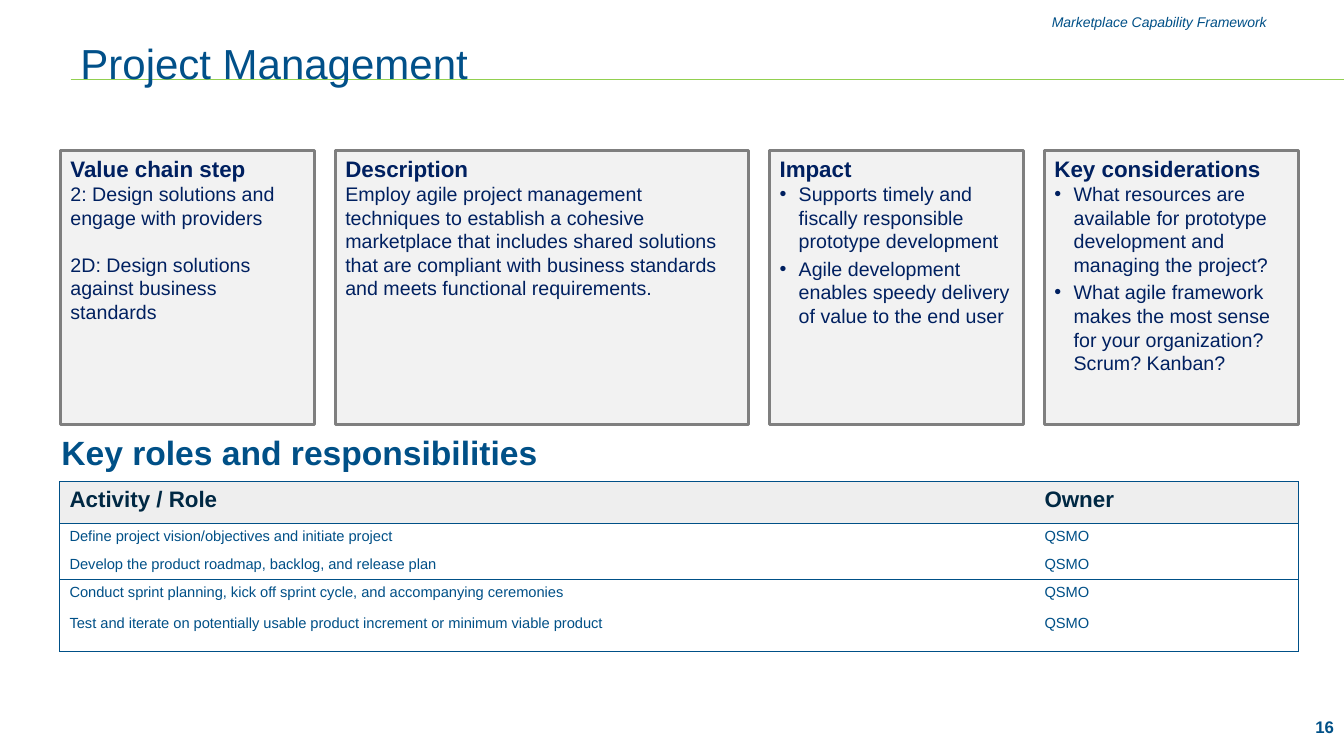
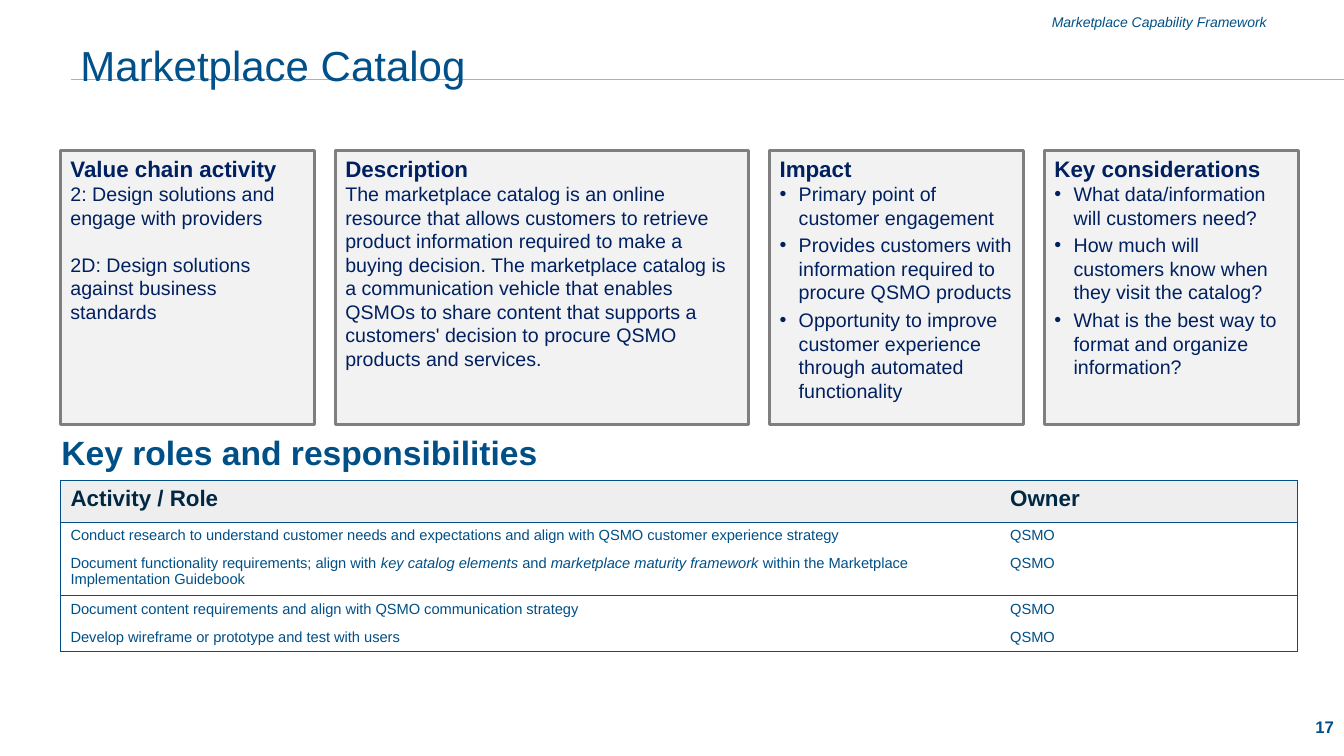
from lxml import etree
from pptx import Presentation
from pptx.dml.color import RGBColor
from pptx.enum.shapes import MSO_CONNECTOR, MSO_SHAPE
from pptx.enum.text import MSO_ANCHOR, PP_ALIGN
from pptx.oxml.ns import qn
from pptx.util import Inches, Pt

LINE = MSO_CONNECTOR.STRAIGHT
RECT = MSO_SHAPE.RECTANGLE
TOP, MID, LOW = MSO_ANCHOR.TOP, MSO_ANCHOR.MIDDLE, MSO_ANCHOR.BOTTOM
LEFT, RIGHT = PP_ALIGN.LEFT, PP_ALIGN.RIGHT

FONT = "Arial"
BLUE, TITLE, NAVY, DARK = "005087", "015089", "002060", "002843"
GREEN, GRAY, PALE, HEAD = "92D050", "7F7F7F", "F2F2F2", "EEEEEE"
WIDE, HIGH = 13.33, 7.5
CARDS = (0.6, 1.49, 12.28, 2.72)
WIDTHS = (2.52, 4.1, 2.52, 2.52)

STEPS = ["2: Design solutions and engage with providers",
         "2D: Design solutions against business standards"]

PAGES = [
    {
        "title": "Project Management",
        "top": 0.15,
        "page": 16,
        "cards": [
            ("Value chain step", STEPS, False),
            ("Description", [
                "Employ agile project management techniques to establish a "
                "cohesive marketplace that includes shared solutions that are "
                "compliant with business standards and meets functional "
                "requirements."], False),
            ("Impact", [
                "Supports timely and fiscally responsible prototype development",
                "Agile development enables speedy delivery of value to the end "
                "user"], True),
            ("Key considerations", [
                "What resources are available for prototype development and "
                "managing the project?",
                "What agile framework makes the most sense for your "
                "organization? Scrum? Kanban?"], True),
        ],
        "spot": (0.59, 4.78),
        "cols": (9.67, 2.62),
        "rows": (0.41, 0.28, 0.28, 0.3, 0.41),
        "roles": [
            ["Define project vision/objectives and initiate project"],
            ["Develop the product roadmap, backlog, and release plan"],
            ["Conduct sprint planning, kick off sprint cycle, and accompanying "
             "ceremonies"],
            ["Test and iterate on potentially usable product increment or "
             "minimum viable product"],
        ],
    },
    {
        "title": "Marketplace Catalog",
        "top": 0.17,
        "page": 17,
        "cards": [
            ("Value chain activity", STEPS, False),
            ("Description", [
                "The marketplace catalog is an online resource that allows "
                "customers to retrieve product information required to make a "
                "buying decision. The marketplace catalog is a communication "
                "vehicle that enables QSMOs to share content that supports a "
                "customers' decision to procure QSMO products and services."],
             False),
            ("Impact", [
                "Primary point of customer engagement",
                "Provides customers with information required to procure QSMO "
                "products",
                "Opportunity to improve customer experience through automated "
                "functionality"], True),
            ("Key considerations", [
                "What data/information will customers need?",
                "How much will customers know when they visit the catalog?",
                "What is the best way to format and organize information?"],
             True),
        ],
        "spot": (0.6, 4.77),
        "cols": (9.32, 2.95),
        "rows": (0.41, 0.28, 0.41, 0.28, 0.23),
        "roles": [
            ["Conduct research to understand customer needs and expectations "
             "and align with QSMO customer experience strategy"],
            ["Document functionality requirements; align with ",
             "key catalog elements ", "and ",
             "marketplace maturity framework ",
             "within the Marketplace Implementation Guidebook"],
            ["Document content requirements and align with QSMO communication "
             "strategy"],
            ["Develop wireframe or prototype and test with users"],
        ],
    },
]


def rgb(code):
    return RGBColor.from_string(code)


def add_run(para, text, size, color, bold=False, slant=False):
    run = para.add_run()
    run.text = text
    font = run.font
    font.name, font.size, font.bold, font.italic = FONT, Pt(size), bold, slant
    font.color.rgb = rgb(color)


def set_frame(frame, anchor=TOP, pad=0.05):
    frame.word_wrap = True
    frame.vertical_anchor = anchor
    frame.margin_left = frame.margin_right = Inches(0.1)
    frame.margin_top = frame.margin_bottom = Inches(pad)


def add_label(slide, box, text, size, color, align=LEFT, anchor=TOP,
              bold=False, slant=False, pad=0.05):
    frame = slide.shapes.add_textbox(*map(Inches, box)).text_frame
    set_frame(frame, anchor, pad)
    para = frame.paragraphs[0]
    para.alignment = align
    add_run(para, text, size, color, bold, slant)


def add_bullet(para):
    props = para._p.get_or_add_pPr()
    props.set("marL", str(Inches(0.19)))
    props.set("indent", str(-Inches(0.19)))
    tint = etree.SubElement(props, qn("a:buClr"))
    etree.SubElement(tint, qn("a:srgbClr")).set("val", NAVY)
    etree.SubElement(props, qn("a:buFont")).set("typeface", FONT)
    etree.SubElement(props, qn("a:buChar")).set("char", "•")


def add_frame(slide, title, top, page):
    rule = slide.shapes.add_connector(
        LINE, Inches(0.7), Inches(0.79), Inches(WIDE), Inches(0.79))
    rule.line.color.rgb = rgb(GREEN)
    rule.line.width = Pt(0.75)
    etree.SubElement(rule._element.spPr, qn("a:effectLst"))
    add_label(slide, (8.83, 0.08, 3.83, 0.28), "Marketplace Capability Framework",
              10, BLUE, RIGHT, MID, slant=True)
    add_label(slide, (0.7, top, 11.96, 0.94), title, 30, TITLE, anchor=MID)
    add_label(slide, (12.53, 6.84, 0.8, 0.57), str(page), 12, BLUE, RIGHT, LOW,
              bold=True, pad=0.1)


def add_card(slide, box, title, lines, dots):
    card = slide.shapes.add_shape(RECT, *map(Inches, box))
    card.shadow.inherit = False
    card.fill.solid()
    card.fill.fore_color.rgb = rgb(PALE)
    card.line.color.rgb = rgb(GRAY)
    card.line.width = Pt(2)
    frame = card.text_frame
    set_frame(frame)
    para = frame.paragraphs[0]
    para.alignment = LEFT
    add_run(para, title, 16, NAVY, bold=True)
    for i, text in enumerate(lines):
        para = frame.add_paragraph()
        para.alignment = LEFT
        if i:
            para.space_before = Pt(3 if dots else 16.8)
        if dots:
            add_bullet(para)
        add_run(para, text, 14, NAVY)


def add_cards(slide, box, cards):
    left, top, width, height = box
    gap = (width - sum(WIDTHS)) / (len(WIDTHS) - 1)
    for wide, card in zip(WIDTHS, cards):
        add_card(slide, (left, top, wide, height), *card)
        left += wide + gap


def set_edges(cell, shown):
    props = cell._tc.get_or_add_tcPr()
    for i, side in enumerate("LRTB"):
        edge = etree.Element(qn("a:ln" + side), w=str(Pt(0.75)))
        if side in shown:
            fill = etree.SubElement(edge, qn("a:solidFill"))
            etree.SubElement(fill, qn("a:srgbClr")).set("val", BLUE)
        else:
            etree.SubElement(edge, qn("a:noFill"))
        props.insert(i, edge)


def fill_cell(cell, parts, head):
    cell.margin_left = cell.margin_right = Inches(0.1)
    cell.margin_top = cell.margin_bottom = Inches(0.05)
    cell.vertical_anchor = TOP
    if head:
        cell.fill.solid()
        cell.fill.fore_color.rgb = rgb(HEAD)
    else:
        cell.fill.background()
    size, color = (16, DARK) if head else (10.5, BLUE)
    para = cell.text_frame.paragraphs[0]
    for i, text in enumerate(parts):
        add_run(para, text, size, color, bold=head, slant=i % 2 == 1)


def add_roles(slide, spot, cols, rows, roles):
    box = (*spot, sum(cols), sum(rows))
    table = slide.shapes.add_table(
        len(rows), len(cols), *map(Inches, box)).table
    table.horz_banding = False
    for col, width in zip(table.columns, cols):
        col.width = Inches(width)
    for row, height in zip(table.rows, rows):
        row.height = Inches(height)
    data = [(["Activity / Role"], ["Owner"])]
    data += [(parts, ["QSMO"]) for parts in roles]
    for r, pair in enumerate(data):
        edges = ("T" if r in (0, 1, 3) else "") + ("B" if r in (0, 2, 4) else "")
        for c, parts in enumerate(pair):
            cell = table.cell(r, c)
            fill_cell(cell, parts, r == 0)
            set_edges(cell, edges + "LR"[c])


def add_page(deck, page):
    slide = deck.slides.add_slide(deck.slide_layouts[6])
    add_frame(slide, page["title"], page["top"], page["page"])
    add_cards(slide, CARDS, page["cards"])
    add_label(slide, (0.51, 4.24, 4.94, 0.5), "Key roles and responsibilities",
              24, BLUE, bold=True)
    add_roles(slide, page["spot"], page["cols"], page["rows"], page["roles"])


def main():
    deck = Presentation()
    deck.slide_width, deck.slide_height = Inches(WIDE), Inches(HIGH)
    for page in PAGES:
        add_page(deck, page)
    deck.save("out.pptx")


if __name__ == "__main__":
    main()
